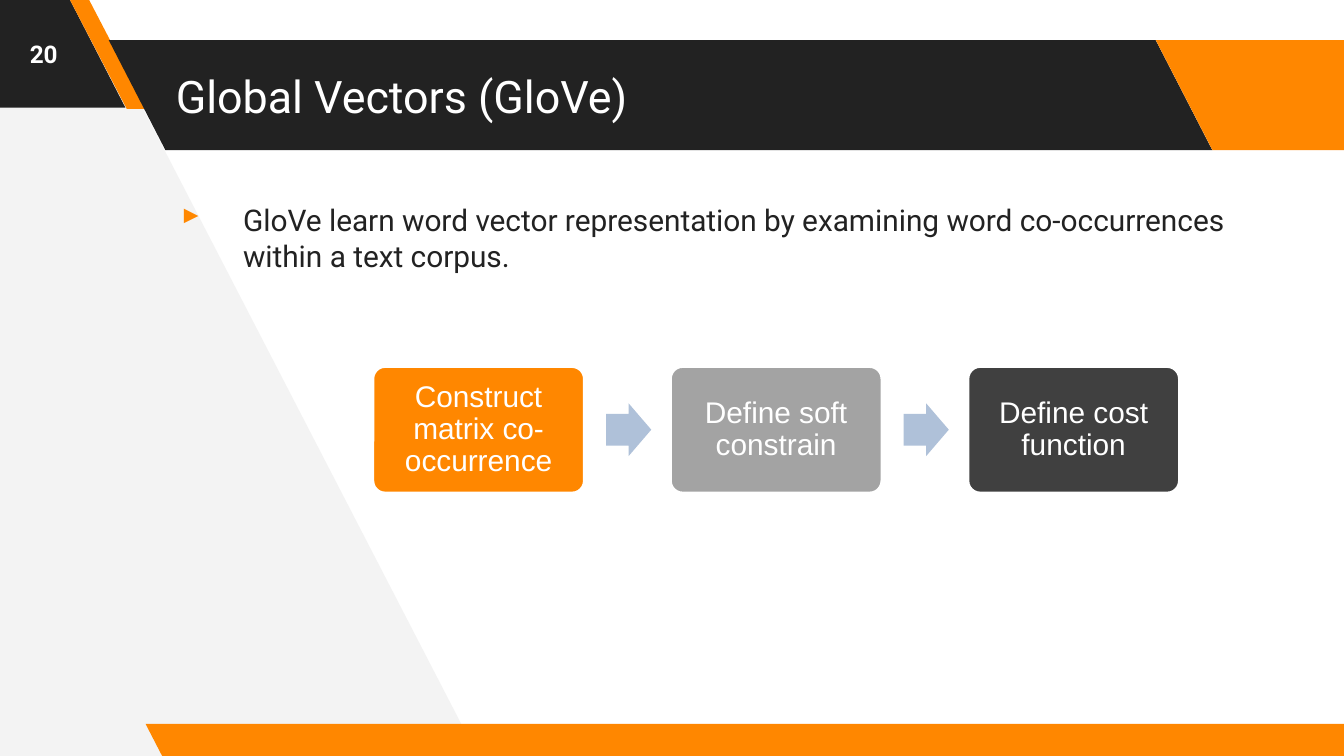
from lxml.etree import SubElement
from pptx import Presentation
from pptx.dml.color import RGBColor
from pptx.enum.shapes import MSO_SHAPE
from pptx.enum.text import MSO_ANCHOR, PP_ALIGN
from pptx.oxml.ns import qn
from pptx.util import Pt

WHITE = RGBColor(0xFF, 0xFF, 0xFF)
PALE = RGBColor(0xF3, 0xF3, 0xF3)
DARK = RGBColor(0x22, 0x22, 0x22)
ORANGE = RGBColor(0xFF, 0x87, 0x00)
GRAY = RGBColor(0xA3, 0xA3, 0xA3)
CHARCOAL = RGBColor(0x40, 0x40, 0x40)
ARROW_BLUE = RGBColor(0xAF, 0xC1, 0xD9)


class SlideBuilder:
    """Draws styled elements on one slide, with all lengths in points."""

    heading_font = "Roboto"
    step_font = "Arial"
    inset = 7.2

    def __init__(self, slide):
        self.slide = slide

    def paint(self, shape, color):
        shape.shadow.inherit = False
        shape.fill.solid()
        shape.fill.fore_color.rgb = color
        shape.line.fill.background()

    def polygon(self, points, color):
        builder = self.slide.shapes.build_freeform(*points[0], scale=Pt(1))
        builder.add_line_segments(points[1:], close=True)
        self.paint(builder.convert_to_shape(), color)

    def preset(self, kind, box, color, adjustments):
        shape = self.slide.shapes.add_shape(kind, *map(Pt, box))
        self.paint(shape, color)
        for index, value in enumerate(adjustments):
            shape.adjustments[index] = value
        return shape

    def slanted_band(self, box, color, slant=0.515):
        shape = self.preset(MSO_SHAPE.PARALLELOGRAM, box, color, [slant])
        shape.element.spPr.xfrm.set("flipH", "1")

    def style_text(self, shape, text, size, color, font, anchor, align, bold=False):
        frame = shape.text_frame
        frame.text = text
        frame.word_wrap = True
        frame.vertical_anchor = anchor
        frame.margin_left = frame.margin_right = Pt(self.inset)
        frame.margin_top = frame.margin_bottom = Pt(self.inset)
        paragraph = frame.paragraphs[0]
        paragraph.alignment = align
        run_font = paragraph.runs[0].font
        run_font.name = font
        run_font.size = Pt(size)
        run_font.bold = bold
        run_font.color.rgb = color
        return paragraph

    def text(self, box, text, size, color, anchor=MSO_ANCHOR.MIDDLE,
             align=PP_ALIGN.LEFT, bold=False):
        shape = self.slide.shapes.add_textbox(*map(Pt, box))
        return self.style_text(shape, text, size, color, self.heading_font,
                               anchor, align, bold)

    def bullet(self, box, text, size):
        paragraph = self.text(box, text, size, DARK, MSO_ANCHOR.TOP)
        paragraph.space_before = Pt(6)
        properties = paragraph._p.get_or_add_pPr()
        properties.set("marL", str(Pt(36)))
        properties.set("indent", str(Pt(-33)))
        bullet_color = SubElement(properties, qn("a:buClr"))
        SubElement(bullet_color, qn("a:srgbClr"), val=str(ORANGE))
        SubElement(properties, qn("a:buChar"), char="▸")

    def step(self, box, text, color):
        shape = self.preset(MSO_SHAPE.ROUNDED_RECTANGLE, box, color, [0.1])
        shape.line.color.rgb = WHITE
        shape.line.width = Pt(2)
        paragraph = self.style_text(shape, text, 16, WHITE, self.step_font,
                                    MSO_ANCHOR.MIDDLE, PP_ALIGN.CENTER)
        paragraph.line_spacing = 0.9

    def arrow(self, box):
        self.preset(MSO_SHAPE.RIGHT_ARROW, box, ARROW_BLUE, [0.6, 0.5])


def main():
    presentation = Presentation()
    presentation.slide_width, presentation.slide_height = Pt(720), Pt(405)
    builder = SlideBuilder(presentation.slides.add_slide(presentation.slide_layouts[6]))

    builder.polygon([(256.3, 404.6), (44.6, -2.9), (-4.3, -2.9), (-1.4, 407.5)], PALE)
    builder.slanted_band((-71.3, -1.4, 138.5, 59), DARK)
    builder.slanted_band((37.2, -0.7, 41, 59), ORANGE, 0.75)
    builder.slanted_band((58.3, 21.5, 591.2, 59), DARK)
    builder.slanted_band((619.2, 21.5, 138.2, 59), ORANGE)
    builder.slanted_band((78, 387.8, 658.8, 18), ORANGE)

    builder.text((87.1, 21.5, 529.2, 59), "Global Vectors (GloVe)", 24, WHITE)
    builder.bullet((87.1, 100.8, 596.9, 287.3),
                   "GloVe learn word vector representation by examining "
                   "word co-occurrences within a text corpus.", 16)
    builder.text((0, 0, 46.8, 57.6), "20", 13, WHITE, align=PP_ALIGN.CENTER, bold=True)

    steps = [
        ("Construct matrix co-occurrence", ORANGE),
        ("Define soft constrain", GRAY),
        ("Define cost function", CHARCOAL),
    ]
    first_left, pitch = 199.5, 159.4
    for index, (label, color) in enumerate(steps):
        left = first_left + index * pitch
        if index:
            builder.arrow((left - 34.2, 216.1, 24.2, 28.2))
        builder.step((left, 196.1, 113.8, 68.3), label, color)

    presentation.save("out.pptx")


if __name__ == "__main__":
    main()
